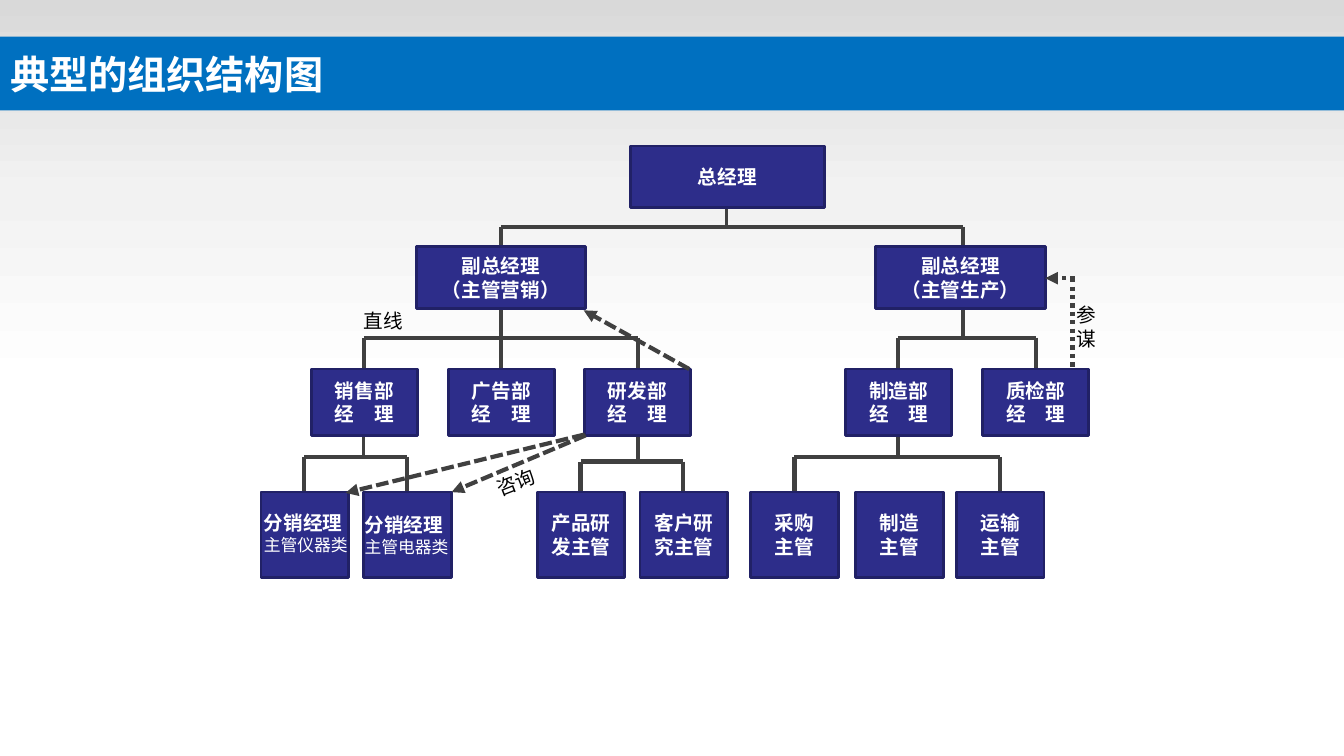
from copy import deepcopy

from lxml import etree
from pptx import Presentation
from pptx.dml.color import RGBColor
from pptx.enum import dml, shapes, text
from pptx.oxml.ns import qn
from pptx.util import Cm, Pt

INK = {
    "band": "0070C0", "strip": "D9D9D9", "mid": "F2F2F2", "white": "FFFFFF",
    "box": "2D2D8A", "edge": "212166", "line": "404040", "black": "000000",
}
WIDE = 33.87
CJK = "Noto Sans CJK SC"
DOT = dml.MSO_LINE.ROUND_DOT
DASH = dml.MSO_LINE.SQUARE_DOT

# Tiers: top, width, height, then (left, lines) of each box
TIERS = [
    (3.68, 4.9, 1.55, [(15.88, ["总经理"])]),
    (6.22, 4.27, 1.55, [
        (10.49, ["副总经理", "（主管营销）"]),
        (22.07, ["副总经理", "（主管生产）"])]),
    (9.3, 2.67, 1.68, [
        (left, [name, "经　理"]) for left, name in [
            (7.85, "销售部"), (11.3, "广告部"), (14.73, "研发部"),
            (21.31, "制造部"), (24.77, "质检部")]]),
    (12.4, 2.21, 2.16, [
        (6.58, []), (9.17, []),
        (13.54, ["产品研发主管"]), (16.13, ["客户研究主管"]),
        (18.92, ["采购", "主管"]), (21.56, ["制造", "主管"]),
        (24.1, ["运输", "主管"])]),
]

# Branches: parent x, parent foot, bar y, child xs, child top, stem width
TREE = [
    (18.31, 5.23, 5.72, [12.62, 24.26], 6.22, 2),
    (12.62, 7.77, 8.51, [9.17, 12.62, 16.08], 9.3, 3),
    (24.26, 7.77, 8.51, [22.63, 26.1], 9.3, 3),
    (9.17, 10.98, 11.51, [7.67, 10.26], 12.4, 2),
    (16.08, 10.98, 11.63, [14.63, 17.22], 12.4, 3),
    (22.63, 10.98, 11.51, [20.02, 25.2], 12.4, 3),
]


def rgb(name):
    return RGBColor.from_string(INK[name])


def write(frame, lines, sizes=(14,), color="white", bold=(True,),
          font="Arial", align=text.PP_ALIGN.LEFT,
          anchor=text.MSO_ANCHOR.TOP):
    """Fill a frame; sizes and bold give one value a line, the last repeats."""
    frame.word_wrap = True
    frame.vertical_anchor = anchor
    for i, line in enumerate(lines):
        para = frame.paragraphs[0] if i == 0 else frame.add_paragraph()
        para.alignment = align
        run = para.add_run()
        run.text = line
        run.font.size = Pt(sizes[min(i, len(sizes) - 1)])
        run.font.bold = bold[min(i, len(bold) - 1)]
        run.font.name = font
        run.font.color.rgb = rgb(color)
        etree.SubElement(run.font._element, qn("a:ea"), typeface=font)


def rect(slide, left, top, width, height, fill, edge=None):
    shape = slide.shapes.add_shape(
        shapes.MSO_SHAPE.RECTANGLE, Cm(left), Cm(top), Cm(width), Cm(height))
    shape.shadow.inherit = False
    shape.fill.solid()
    shape.fill.fore_color.rgb = rgb(fill)
    if edge:
        shape.line.color.rgb = rgb(edge)
        shape.line.width = Pt(2)
    else:
        shape.line.fill.background()
    return shape


def label(slide, left, top, width, height, lines, turn=0, **form):
    box = slide.shapes.add_textbox(Cm(left), Cm(top), Cm(width), Cm(height))
    box.rotation = turn
    write(box.text_frame, lines, **form)


def link(slide, x1, y1, x2, y2, width=3, dash=None, head=False):
    line = slide.shapes.add_connector(
        shapes.MSO_CONNECTOR.STRAIGHT, Cm(x1), Cm(y1), Cm(x2), Cm(y2))
    line.line.color.rgb = rgb("line")
    line.line.width = Pt(width)
    if dash:
        line.line.dash_style = dash
    if head:
        etree.SubElement(line.line._get_or_add_ln(), qn("a:tailEnd"),
                         type="triangle")
    etree.SubElement(line._element.spPr, qn("a:effectLst"))


def branch(slide, x, foot, bar, kids, top, stem):
    link(slide, x, foot, x, bar, stem)
    link(slide, kids[0], bar, kids[-1], bar)
    for kid in kids:
        link(slide, kid, bar, kid, top)


def shade(shape):
    """Blend grey to white from top to bottom."""
    shape.fill.gradient()
    shape.fill.gradient_angle = 270
    first, last = shape.fill.gradient_stops
    first.color.rgb, first.position = rgb("mid"), 0.5
    stops = shape._element.find(".//" + qn("a:gsLst"))
    stops.insert(0, deepcopy(stops[0]))
    first = shape.fill.gradient_stops[0]
    first.color.rgb, first.position = rgb("strip"), 0
    last.color.rgb, last.position = rgb("white"), 1


def head(slide):
    shade(rect(slide, 0, 0, WIDE, 9.73, "white"))
    rect(slide, 0, 1.93, WIDE, 0.61, "strip")
    title = slide.shapes.title
    title.left, title.top = Cm(0), Cm(0.92)
    title.width, title.height = Cm(WIDE), Cm(1.86)
    title.fill.solid()
    title.fill.fore_color.rgb = rgb("band")
    write(title.text_frame, ["典型的组织结构图"], sizes=(28,), font=CJK,
          anchor=text.MSO_ANCHOR.MIDDLE)
    slide.shapes._spTree.append(title._element)  # bring above the bands


def main():
    deck = Presentation()
    deck.slide_width, deck.slide_height = Cm(WIDE), Cm(19.05)
    slide = deck.slides.add_slide(deck.slide_layouts[5])
    head(slide)

    # Chart of posts
    for row in TREE:
        branch(slide, *row)
    for top, width, height, posts in TIERS:
        for left, lines in posts:
            box = rect(slide, left, top, width, height, "box", "edge")
            write(box.text_frame, lines, align=text.PP_ALIGN.CENTER,
                  anchor=text.MSO_ANCHOR.MIDDLE)

    # Sales posts, with a lighter second line
    for left, top, duty in [(6.4, 12.75, "主管仪器类"),
                            (8.94, 12.8, "主管电器类")]:
        label(slide, left, top, 2.74, 1.37, ["分销经理", duty],
              sizes=(14, 12), bold=(True, False))

    # Staff and advice lines
    link(slide, 27.03, 7.01, 27.03, 9.3, dash=DOT)
    link(slide, 27.08, 7.01, 26.34, 7.01, dash=DOT, head=True)
    for ends in [(14.73, 10.95, 8.71, 12.42), (14.76, 10.97, 11.38, 12.4),
                 (17.37, 9.3, 14.71, 7.82)]:
        link(slide, *ends, dash=DASH, head=True)

    # Names of the lines
    for left, top, width, height, name, turn in [
            (26.87, 7.52, 1.07, 1.45, "参谋", 0),
            (12.22, 11.56, 2.39, 0.86, "咨询", 338.5),
            (8.92, 7.65, 2.46, 0.86, "直线", 0)]:
        label(slide, left, top, width, height, [name], turn,
              color="black", bold=(False,))

    deck.save("out.pptx")


if __name__ == "__main__":
    main()
